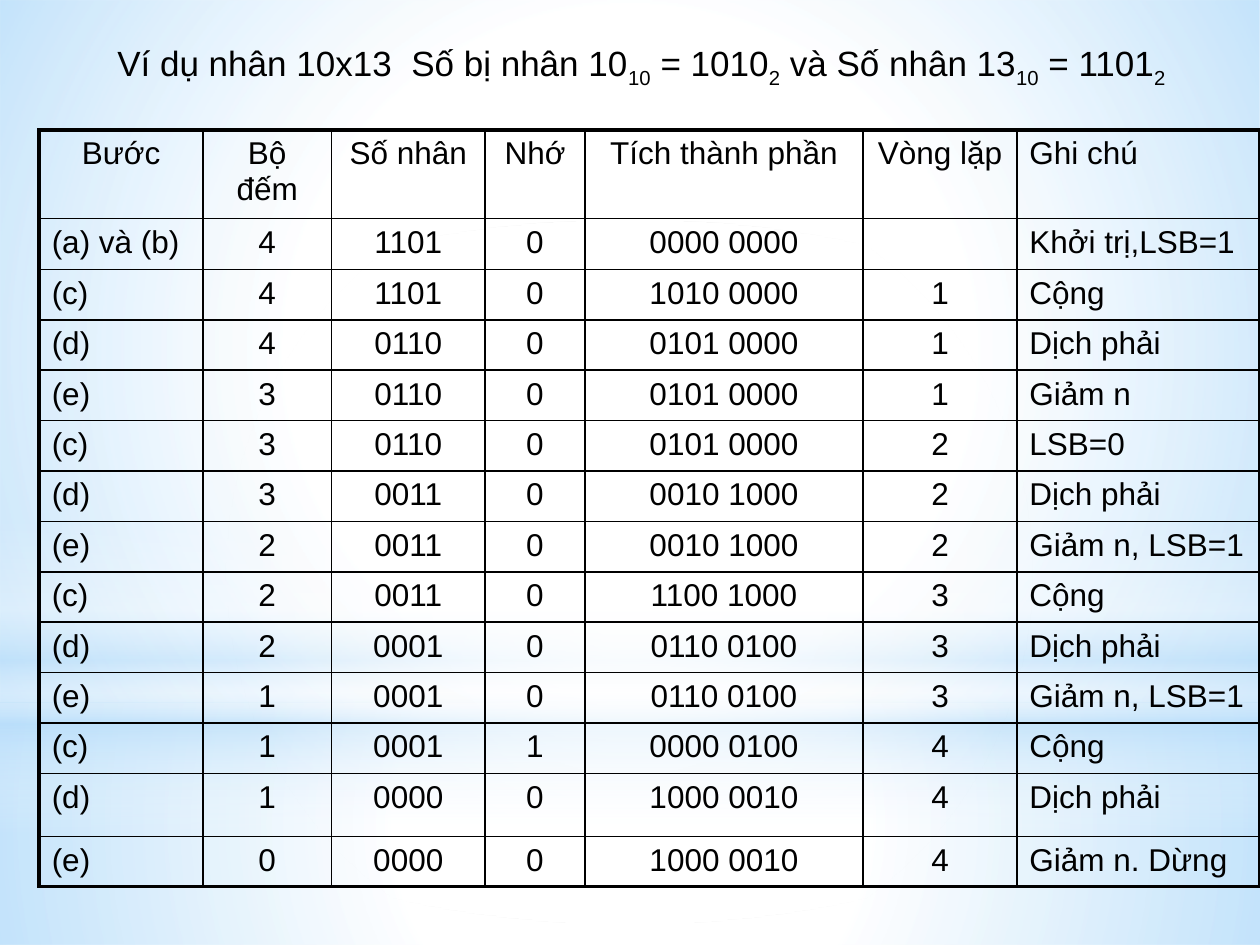
from dataclasses import dataclass

from lxml import etree
from pptx import Presentation
from pptx.dml.color import RGBColor
from pptx.enum.shapes import MSO_SHAPE
from pptx.enum.text import MSO_ANCHOR, MSO_AUTO_SIZE, PP_ALIGN
from pptx.oxml import parse_xml
from pptx.oxml.ns import nsdecls, qn
from pptx.util import Cm, Pt

RECTANGLE, OVAL = MSO_SHAPE.RECTANGLE, MSO_SHAPE.OVAL
LEFT, CENTER = PP_ALIGN.LEFT, PP_ALIGN.CENTER
TITLE_ONLY = 5


@dataclass(frozen=True)
class Theme:
    font: str = "Arial"
    ink: str = "000000"
    white: str = "FFFFFF"
    sky: str = "B4DCFA"
    title_size: int = 20
    table_size: int = 18
    subscript: int = -25
    outer_line: float = 2.25
    inner_line: float = 1


THEME = Theme()

# Background: shape, box in cm, gradient stops (position, colour, opacity), radial
BACKDROP = [
    (RECTANGLE, (0, 14.17, 25.4, 4.88),
     [(0, THEME.white, 91), (37, THEME.white, 76), (100, THEME.sky, 79)], True),
    (RECTANGLE, (0, 0, 25.4, 14.17),
     [(0, THEME.white, 89), (48, THEME.white, 62), (100, THEME.sky, 79)], True),
    (RECTANGLE, (0, 10.46, 25.4, 6.35),
     [(0, THEME.white, 0), (29, THEME.white, 30), (45, THEME.sky, 40),
      (55, THEME.white, 26), (65, THEME.sky, 60), (100, THEME.white, 0)], False),
    (OVAL, (0, 4.45, 25.4, 14.17),
     [(0, THEME.white, 100), (56, THEME.white, 0), (100, THEME.white, 0)], True),
]

# Title: pairs of normal text and the subscript after it
TITLE = [("Ví dụ nhân 10x13  Số bị nhân 10", "10"), (" = 1010", "2"),
         (" và Số nhân 13", "10"), (" = 1101", "2")]

COLUMN_WIDTHS = [3.3, 2.59, 3.1, 2.01, 5.61, 3.1, 4.9]
ROW_HEIGHTS = [1.78] + [1.016] * 11 + [1.27, 1.016]
COLUMN_ALIGNMENTS = [LEFT] + [CENTER] * 5 + [LEFT]
HEADER = ["Bước", "Bộ đếm", "Số nhân", "Nhớ", "Tích thành phần", "Vòng lặp", "Ghi chú"]
STEPS = [
    ["(a) và (b)", "4", "1101", "0", "0000 0000", "", "Khởi trị,LSB=1"],
    ["(c)", "4", "1101", "0", "1010 0000", "1", "Cộng"],
    ["(d)", "4", "0110", "0", "0101 0000", "1", "Dịch phải"],
    ["(e)", "3", "0110", "0", "0101 0000", "1", "Giảm n"],
    ["(c)", "3", "0110", "0", "0101 0000", "2", "LSB=0"],
    ["(d)", "3", "0011", "0", "0010 1000", "2", "Dịch phải"],
    ["(e)", "2", "0011", "0", "0010 1000", "2", "Giảm n, LSB=1"],
    ["(c)", "2", "0011", "0", "1100 1000", "3", "Cộng"],
    ["(d)", "2", "0001", "0", "0110 0100", "3", "Dịch phải"],
    ["(e)", "1", "0001", "0", "0110 0100", "3", "Giảm n, LSB=1"],
    ["(c)", "1", "0001", "1", "0000 0100", "4", "Cộng"],
    ["(d)", "1", "0000", "0", "1000 0010", "4", "Dịch phải"],
    ["(e)", "0", "0000", "0", "1000 0010", "4", "Giảm n. Dừng"],
]


def format_font(font, size):
    font.name = THEME.font
    font.size = Pt(size)
    font.color.rgb = RGBColor.from_string(THEME.ink)


def add_gradient_shape(slide, kind, box, stops, radial):
    shape = slide.shapes.add_shape(kind, *map(Cm, box))
    shape.shadow.inherit = False
    shape.line.fill.background()
    stop_xml = "".join(
        f'<a:gs pos="{position * 1000}"><a:srgbClr val="{color}">'
        f'<a:alpha val="{opacity * 1000}"/></a:srgbClr></a:gs>'
        for position, color, opacity in stops)
    if radial:
        direction = ('<a:path path="circle"><a:fillToRect l="50000" t="50000" '
                     'r="50000" b="50000"/></a:path>')
    else:
        direction = '<a:lin ang="5400000" scaled="0"/>'
    gradient = parse_xml(f'<a:gradFill {nsdecls("a")} rotWithShape="1">'
                         f'<a:gsLst>{stop_xml}</a:gsLst>{direction}</a:gradFill>')
    shape.element.spPr.find(qn("a:prstGeom")).addnext(gradient)


def write_title(slide):
    title = slide.shapes.title
    title.left, title.top, title.width, title.height = map(Cm, (2.11, 0.71, 22.5, 1.1))
    # Bring the title in front of the background shapes
    slide.shapes.element.append(title.element)
    text_frame = title.text_frame
    text_frame.word_wrap = True
    text_frame.auto_size = MSO_AUTO_SIZE.SHAPE_TO_FIT_TEXT
    text_frame.vertical_anchor = MSO_ANCHOR.TOP
    paragraph = text_frame.paragraphs[0]
    paragraph.alignment = LEFT
    for normal, subscript in TITLE:
        for text, baseline in ((normal, 0), (subscript, THEME.subscript)):
            run = paragraph.add_run()
            run.text = text
            format_font(run.font, THEME.title_size)
            if baseline:
                run._r.get_or_add_rPr().set("baseline", str(baseline * 1000))


def set_borders(cell, outer_sides):
    properties = cell._tc.get_or_add_tcPr()
    for side in "LRTB":
        width = THEME.outer_line if side in outer_sides else THEME.inner_line
        line = etree.SubElement(properties, qn(f"a:ln{side}"), w=str(Pt(width)))
        fill = etree.SubElement(line, qn("a:solidFill"))
        etree.SubElement(fill, qn("a:srgbClr"), val=THEME.ink)


def fill_cell(cell, text, alignment, outer_sides):
    cell.text_frame.text = text
    paragraph = cell.text_frame.paragraphs[0]
    paragraph.alignment = alignment
    for run in paragraph.runs:
        format_font(run.font, THEME.table_size)
    set_borders(cell, outer_sides)
    cell.fill.background()


def add_steps_table(slide):
    rows = [HEADER] + STEPS
    last_row, last_column = len(rows) - 1, len(HEADER) - 1
    table = slide.shapes.add_table(
        len(rows), len(HEADER), Cm(0.79), Cm(2.62),
        Cm(sum(COLUMN_WIDTHS)), Cm(sum(ROW_HEIGHTS))).table
    table.first_row = table.horz_banding = False
    for column, width in zip(table.columns, COLUMN_WIDTHS):
        column.width = Cm(width)
    for row, height in zip(table.rows, ROW_HEIGHTS):
        row.height = Cm(height)
    for i, texts in enumerate(rows):
        for j, text in enumerate(texts):
            edges = {"L": j == 0, "R": j == last_column, "T": i == 0, "B": i == last_row}
            outer_sides = [side for side, is_outer in edges.items() if is_outer]
            is_centered_header = i == 0 and j < last_column
            alignment = CENTER if is_centered_header else COLUMN_ALIGNMENTS[j]
            fill_cell(table.cell(i, j), text, alignment, outer_sides)


def main():
    presentation = Presentation()
    presentation.slide_width, presentation.slide_height = Cm(25.4), Cm(19.05)
    slide = presentation.slides.add_slide(presentation.slide_layouts[TITLE_ONLY])

    # Background glow
    for kind, box, stops, radial in BACKDROP:
        add_gradient_shape(slide, kind, box, stops, radial)

    # Multiplication steps and title
    add_steps_table(slide)
    write_title(slide)

    presentation.save("out.pptx")


if __name__ == "__main__":
    main()
